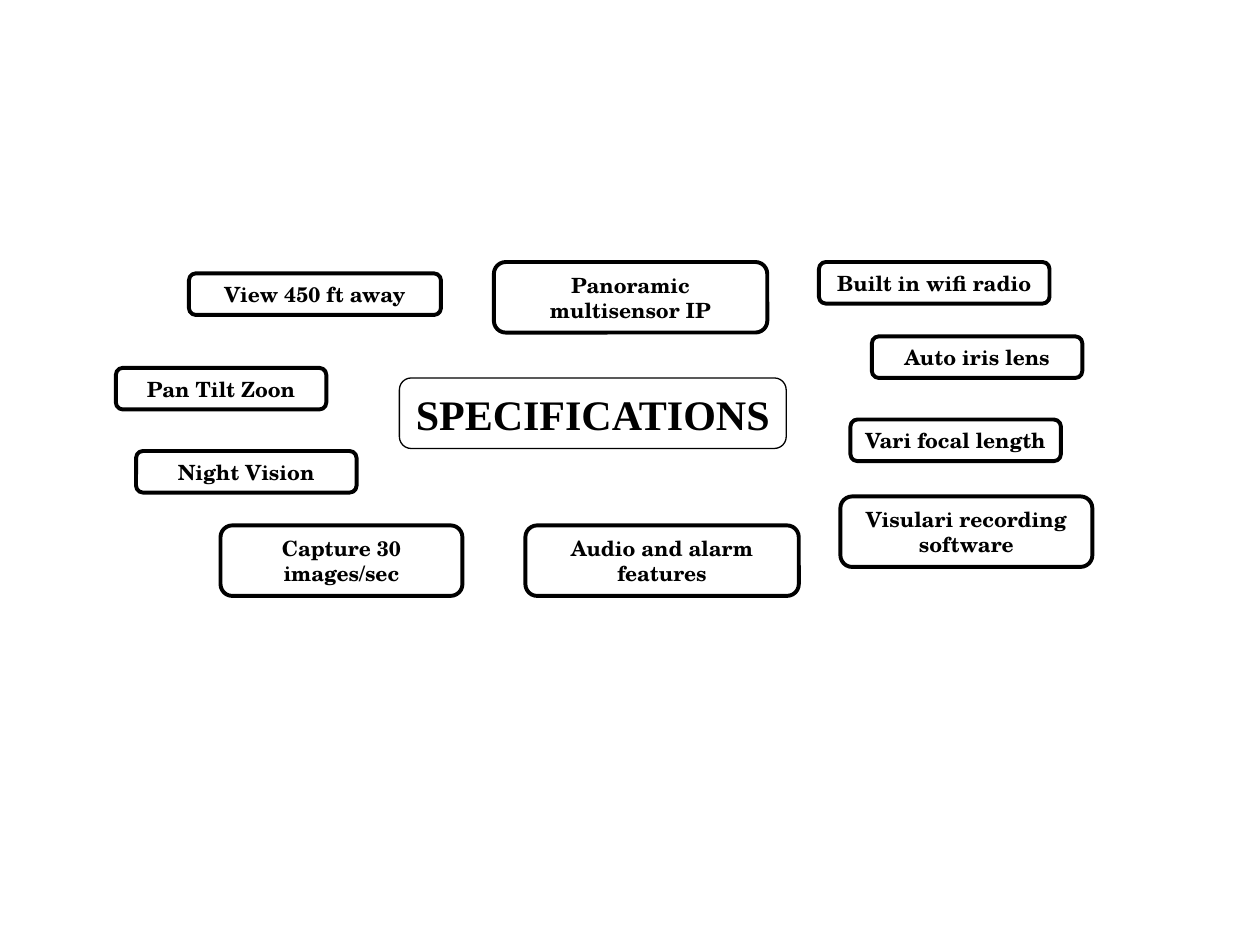
from pptx import Presentation
from pptx.dml.color import RGBColor
from pptx.enum.shapes import MSO_SHAPE as Shape
from pptx.enum.text import MSO_ANCHOR as Anchor, MSO_AUTO_SIZE as AutoSize, PP_ALIGN as Align
from pptx.util import Inches, Pt


def color(value):
    return RGBColor.from_string(value)


def add_box(slide, text, left, top, width, height, line_width, wrap, font_format):
    shape = slide.shapes.add_shape(
        Shape.ROUNDED_RECTANGLE, Inches(left), Inches(top), Inches(width), Inches(height))
    shape.shadow.inherit = False
    shape.fill.background()
    shape.line.color.rgb = color("000000")
    shape.line.width = Pt(line_width)
    frame = shape.text_frame
    frame.word_wrap = wrap
    frame.auto_size = AutoSize.SHAPE_TO_FIT_TEXT
    frame.vertical_anchor = Anchor.MIDDLE
    paragraph = frame.paragraphs[0]
    paragraph.alignment = Align.CENTER
    run = paragraph.add_run()
    run.text = text
    run.font.color.rgb = color("000000")
    for name, value in font_format.items():
        setattr(run.font, name, value)


presentation = Presentation()
presentation.slide_width = Inches(10)
presentation.slide_height = Inches(7.5)
slide = presentation.slides.add_slide(presentation.slide_layouts[6])

title_format = {"name": "Times New Roman", "size": Pt(24), "bold": True}
feature_format = {"name": "TeX Gyre Schola", "size": Pt(12), "bold": True}
one_line, two_lines = 0.33, 0.56

features = [
    ("Night Vision", 1.08, 3.58, 1.75, one_line),
    ("View 450 ft away", 1.5, 2.17, 2, one_line),
    ("Capture 30 images/sec", 1.75, 4.17, 1.92, two_lines),
    ("Audio and alarm features", 4.17, 4.17, 2.17, two_lines),
    ("Panoramic multisensor IP", 3.92, 2.08, 2.17, two_lines),
    ("Built in wifi radio", 6.5, 2.08, 1.83, one_line),
    ("Visulari recording software", 6.67, 3.94, 2, two_lines),
    ("Vari focal length", 6.75, 3.33, 1.67, one_line),
    ("Pan Tilt Zoon", 0.92, 2.92, 1.67, one_line),
    ("Auto iris lens", 6.92, 2.67, 1.67, one_line),
]

add_box(slide, "SPECIFICATIONS", 3.17, 3, 3.07, two_lines, 0.75, False, title_format)
for text, left, top, width, height in features:
    add_box(slide, text, left, top, width, height, 2.25, True, feature_format)

presentation.save("out.pptx")
